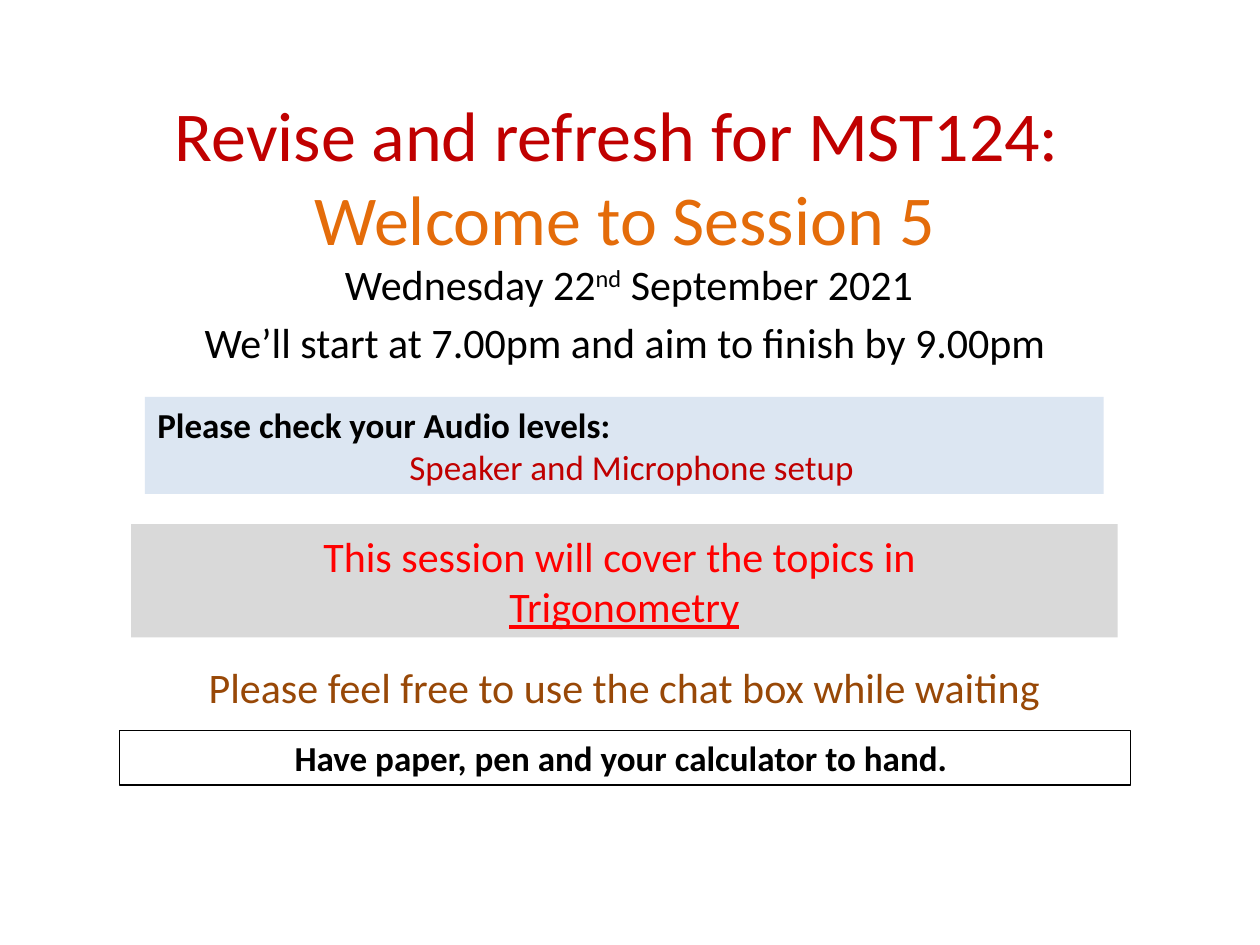
from dataclasses import dataclass
from typing import Optional

import pptx
import pptx.dml.color
import pptx.enum.text
import pptx.util

Inches = pptx.util.Inches
ALIGN = pptx.enum.text.PP_ALIGN


@dataclass(frozen=True)
class Span:
    text: str
    baseline: int = 0


@dataclass(frozen=True)
class Line:
    spans: tuple[Span, ...]
    size: int = 24
    color: str = "000000"
    bold: bool = False
    underline: bool = False
    centered: bool = True
    indent: float = 0


@dataclass(frozen=True)
class Notice:
    left: float
    top: float
    width: float
    height: float
    lines: tuple[Line, ...]
    fill: Optional[str] = None
    border: Optional[str] = None


HEADING = Notice(0.4, 0.68, 9.12, 1.43, (
    Line((Span("Revise and refresh for MST124: "),), 40, "C00000"),
    Line((Span("Welcome to Session 5"),), 40, "E46C0A"),
))

NOTICES = (
    Notice(1.88, 2, 6.15, 0.5, (
        Line((Span(" Wednesday 22"), Span("nd", 30000), Span(" September 2021"))),
    )),
    Notice(1.15, 3.15, 7.61, 0.77, (
        Line((Span("Please check your Audio levels:"),), 20, bold=True, centered=False),
        Line((Span("Speaker and Microphone setup"),), 20, "C00000", centered=False, indent=2),
    ), fill="DCE6F2"),
    Notice(0.95, 2.46, 8.02, 0.5, (
        Line((Span("We’ll start at 7.00pm and aim to finish by 9.00pm"),)),
    )),
    Notice(1.04, 4.16, 7.83, 0.9, (
        Line((Span("This session will cover the topics in "),), color="FF0000"),
        Line((Span("Trigonometry"),), color="FF0000", underline=True),
    ), fill="D9D9D9"),
    Notice(1.19, 5.2, 7.53, 0.5, (
        Line((Span("Please feel free to use the chat box while waiting"),), color="984807"),
    )),
    Notice(0.95, 5.8, 8.02, 0.43, (
        Line((Span("Have paper, pen and your calculator to hand. "),), 20, bold=True),
    ), border="000000"),
)


def rgb(color: str) -> pptx.dml.color.RGBColor:
    return pptx.dml.color.RGBColor.from_string(color)


def write_line(para, line: Line) -> None:
    para.alignment = ALIGN.CENTER if line.centered else ALIGN.LEFT
    para.font.name = "Calibri"
    para.font.size = pptx.util.Pt(line.size)
    para.font.bold = line.bold
    para.font.underline = line.underline
    para.font.color.rgb = rgb(line.color)
    if line.indent:
        para._p.get_or_add_pPr().set("marL", str(Inches(line.indent)))
    for span in line.spans:
        run = para.add_run()
        run.text = span.text
        if span.baseline:
            run.font._element.set("baseline", str(span.baseline))


def fill_box(box, notice: Notice) -> None:
    box.left, box.top = Inches(notice.left), Inches(notice.top)
    box.width, box.height = Inches(notice.width), Inches(notice.height)
    if notice.fill:
        box.fill.solid()
        box.fill.fore_color.rgb = rgb(notice.fill)
    if notice.border:
        box.line.color.rgb = rgb(notice.border)
        box.line.width = pptx.util.Pt(0.75)
    frame = box.text_frame
    frame.word_wrap = True
    frame.auto_size = pptx.enum.text.MSO_AUTO_SIZE.SHAPE_TO_FIT_TEXT
    frame.vertical_anchor = pptx.enum.text.MSO_ANCHOR.TOP
    for index, line in enumerate(notice.lines):
        para = frame.add_paragraph() if index else frame.paragraphs[0]
        write_line(para, line)


def main() -> None:
    deck = pptx.Presentation()
    deck.slide_width, deck.slide_height = Inches(10), Inches(7.5)
    slide = deck.slides.add_slide(deck.slide_layouts.get_by_name("Title Only"))
    fill_box(slide.shapes.title, HEADING)
    for notice in NOTICES:
        fill_box(slide.shapes.add_textbox(0, 0, 0, 0), notice)
    deck.save("out.pptx")


if __name__ == "__main__":
    main()
